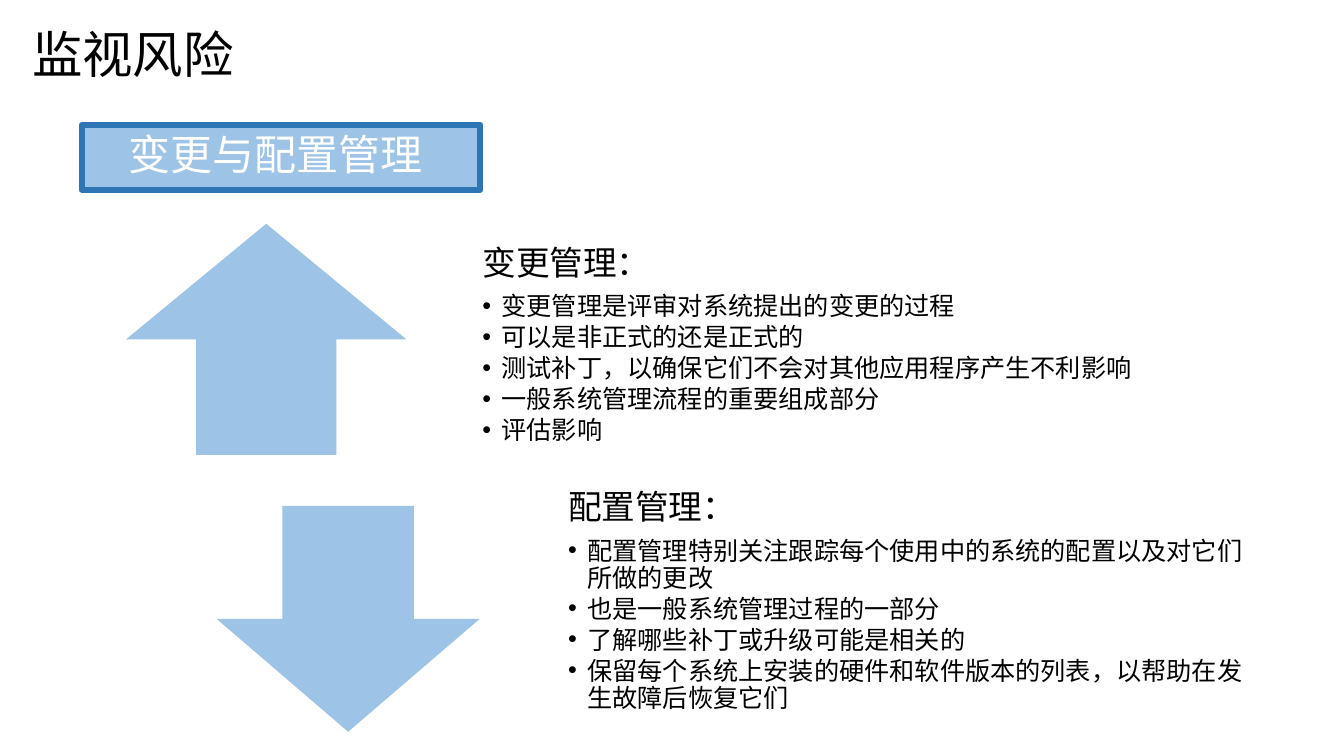
from dataclasses import dataclass

from lxml import etree
from pptx import Presentation
from pptx.dml import color
from pptx.enum import shapes, text
from pptx.oxml import ns
from pptx.util import Cm, Pt

FONT = "Noto Sans CJK SC"
COLORS = {"ink": "000000", "sky": "9DC3E6", "edge": "2E75B6", "white": "FFFFFF"}
INDENT = Cm(0.48)
TOPIC_SIZE = (18.03, 6.5)


@dataclass
class Topic:
    """An arrow with its heading and points; boxes are in centimetres."""
    arrow: shapes.MSO_SHAPE
    arrow_box: tuple[float, float, float, float]
    text_corner: tuple[float, float]
    heading: str
    points: list[str]


TOPICS = [
    Topic(shapes.MSO_SHAPE.UP_ARROW, (3.18, 5.64, 7.06, 5.82), (11.68, 5.64),
          "变更管理：",
          ["变更管理是评审对系统提出的变更的过程",
           "可以是非正式的还是正式的",
           "测试补丁，以确保它们不会对其他应用程序产生不利影响",
           "一般系统管理流程的重要组成部分",
           "评估影响"]),
    Topic(shapes.MSO_SHAPE.DOWN_ARROW, (5.46, 12.75, 6.63, 5.69), (13.84, 12.09),
          "配置管理：",
          ["配置管理特别关注跟踪每个使用中的系统的配置以及对它们所做的更改",
           "也是一般系统管理过程的一部分",
           "了解哪些补丁或升级可能是相关的",
           "保留每个系统上安装的硬件和软件版本的列表，以帮助在发生故障后恢复它们"]),
]


def rgb(name: str) -> color.RGBColor:
    return color.RGBColor.from_string(COLORS[name])


def set_frame(frame, left: float, top: float, right: float, bottom: float) -> None:
    """Wrap and centre vertically, with insets in centimetres."""
    frame.word_wrap = True
    frame.vertical_anchor = text.MSO_ANCHOR.MIDDLE
    frame.margin_left, frame.margin_top = Cm(left), Cm(top)
    frame.margin_right, frame.margin_bottom = Cm(right), Cm(bottom)


def write(paragraph, words: str, size: int, ink: str = "ink") -> None:
    paragraph.text = words
    paragraph.alignment = text.PP_ALIGN.LEFT
    font = paragraph.font
    font.size, font.name = Pt(size), FONT
    font.color.rgb = rgb(ink)
    latin = font._element.find(ns.qn("a:latin"))
    east_asian = etree.Element(ns.qn("a:ea"), typeface=FONT)
    latin.addnext(east_asian)


def add_bullet(paragraph) -> None:
    properties = paragraph._p.get_or_add_pPr()
    properties.set("marL", str(INDENT))
    properties.set("indent", str(-INDENT))
    etree.SubElement(properties, ns.qn("a:buFont"), typeface="Arial")
    etree.SubElement(properties, ns.qn("a:buChar"), char="•")


def add_filled(slide, kind: shapes.MSO_SHAPE, box: tuple[float, float, float, float]):
    shape = slide.shapes.add_shape(kind, *map(Cm, box))
    shape.shadow.inherit = False
    shape.fill.solid()
    shape.fill.fore_color.rgb = rgb("sky")
    shape.line.fill.background()
    return shape


def add_title(slide) -> None:
    title = slide.shapes.add_textbox(Cm(0.53), 0, Cm(15.01), Cm(2.69)).text_frame
    set_frame(title, 0.28, 0.15, 0.28, 0.15)
    write(title.paragraphs[0], "监视风险", 36)


def add_banner(slide) -> None:
    banner = add_filled(slide, shapes.MSO_SHAPE.RECTANGLE, (2.06, 3.15, 10.05, 1.63))
    banner.line.color.rgb = rgb("edge")
    banner.line.width = Pt(4.33)
    etree.SubElement(banner.line._get_or_add_ln(), ns.qn("a:round"))
    set_frame(banner.text_frame, 1.19, 0, 1.19, 0)
    label = banner.text_frame.paragraphs[0]
    write(label, "变更与配置管理", 30, "white")
    label.line_spacing = 0.9


def add_topic(slide, topic: Topic) -> None:
    add_filled(slide, topic.arrow, topic.arrow_box)
    frame = slide.shapes.add_textbox(*map(Cm, topic.text_corner + TOPIC_SIZE)).text_frame
    set_frame(frame, 0.48, 0.1, 0.48, 0.48)
    heading = frame.paragraphs[0]
    write(heading, topic.heading, 24)
    heading.line_spacing, heading.space_after = Pt(25.9), Pt(8.4)
    for words in topic.points:
        point = frame.add_paragraph()
        add_bullet(point)
        write(point, words, 18)
        point.line_spacing, point.space_after = Pt(19.4), Pt(2.75)


def main() -> None:
    deck = Presentation()
    deck.slide_width, deck.slide_height = Cm(33.87), Cm(19.05)
    slide = deck.slides.add_slide(deck.slide_layouts[6])
    add_title(slide)
    add_banner(slide)
    for topic in TOPICS:
        add_topic(slide, topic)
    deck.save("out.pptx")


if __name__ == "__main__":
    main()
